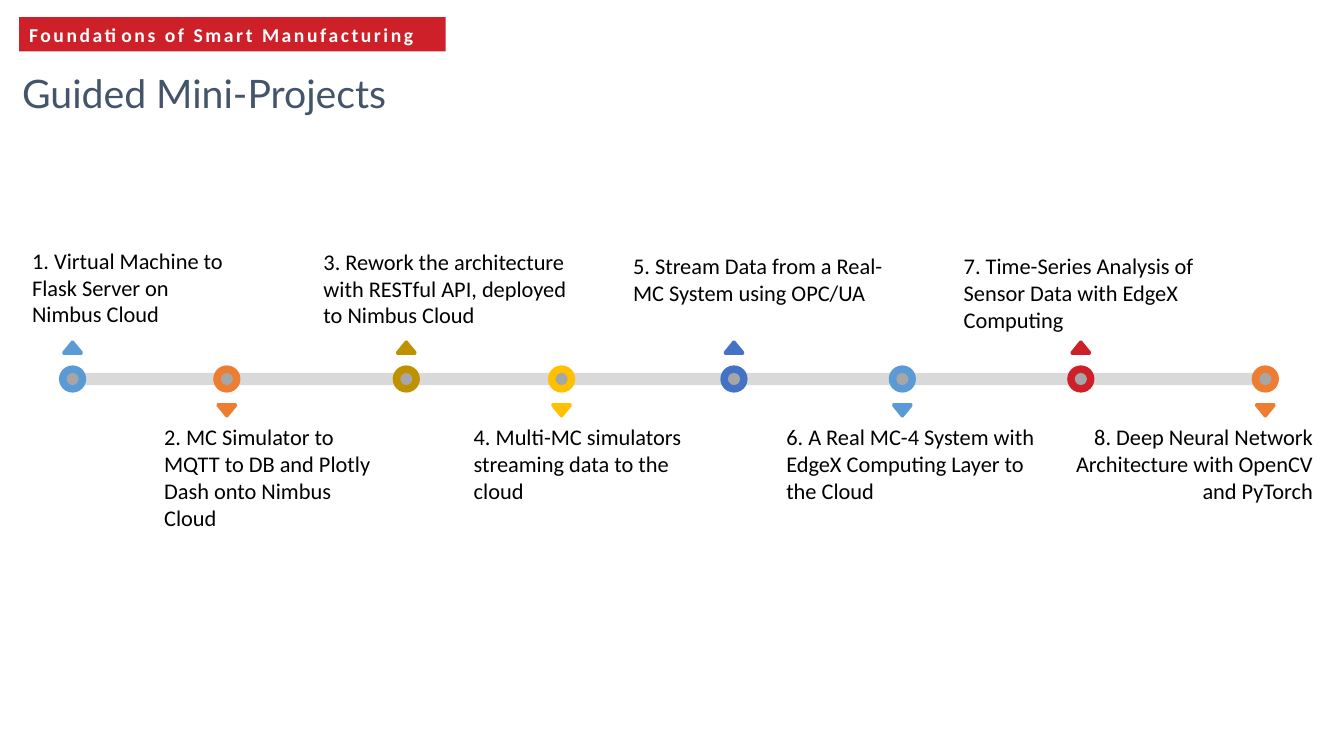
"""Build the Guided Mini-Projects timeline slide."""
from pptx import Presentation
from pptx.dml.color import RGBColor
from pptx.enum import shapes, text
from pptx.util import Inches, Pt

WHITE = RGBColor(0xFF, 0xFF, 0xFF)
BLACK = RGBColor(0x00, 0x00, 0x00)
SLATE = RGBColor(0x44, 0x54, 0x6A)
TRACK = RGBColor(0xD9, 0xD9, 0xD9)
GREY = RGBColor(0xA6, 0xA6, 0xA6)
RED = RGBColor(0xCE, 0x20, 0x29)
SKY = RGBColor(0x5B, 0x9B, 0xD5)
ORANGE = RGBColor(0xED, 0x7D, 0x31)
BRONZE = RGBColor(0xBF, 0x90, 0x00)
GOLD = RGBColor(0xFF, 0xC0, 0x00)
BLUE = RGBColor(0x44, 0x72, 0xC4)

LEFT, RIGHT = text.PP_ALIGN.LEFT, text.PP_ALIGN.RIGHT
AXIS = 3.76
RING, DOT = 0.27, 0.12

deck = Presentation()
deck.slide_width, deck.slide_height = Inches(13.33), Inches(7.5)
page = deck.slides.add_slide(deck.slide_layouts[5])


def paint(shape, color):
    shape.shadow.inherit = False
    shape.fill.solid()
    shape.fill.fore_color.rgb = color
    shape.line.fill.background()
    return shape


def write(box, words, align, **looks):
    frame = box.text_frame
    frame.word_wrap = True
    para = frame.paragraphs[0]
    para.alignment = align
    span = para.add_run()
    span.text = words
    span.font.color.rgb = looks.pop("color")
    for name, value in looks.items():
        setattr(span.font, name, value)
    return span


banner = paint(page.shapes.add_shape(
    shapes.MSO_SHAPE.RECTANGLE, Inches(0.19), Inches(0.17), Inches(4.23), Inches(0.34)), RED)
banner_span = write(banner, "Foundations of Smart Manufacturing", LEFT,
                    name="Calibri", size=Pt(14), bold=True, color=WHITE)
banner_span._r.get_or_add_rPr().set("spc", "180")

title = page.shapes.title
title.left, title.top = Inches(0.22), Inches(0.74)
title.width, title.height = Inches(7.4), Inches(0.49)
title_frame = title.text_frame
title_format = {"margin_left": 0, "margin_top": 0, "margin_right": 0, "margin_bottom": 0,
                "vertical_anchor": text.MSO_ANCHOR.TOP, "auto_size": text.MSO_AUTO_SIZE.NONE}
for name, value in title_format.items():
    setattr(title_frame, name, value)
write(title, "Guided Mini-Projects", LEFT, name="Lato", size=Pt(28), color=SLATE)
title_frame.paragraphs[0].line_spacing = 0.9

segments = [(0.6, 3.88)] + [(4.38 + 1.12 * step, 1.24) for step in range(4)] + [(8.87, 3.76)]
for left, width in segments:
    segment = paint(page.shapes.add_shape(
        shapes.MSO_SHAPE.ROUNDED_RECTANGLE,
        Inches(left), Inches(AXIS - 0.06), Inches(width), Inches(0.12)), TRACK)
    segment.adjustments[0] = 0.5

milestones = [
    (0.72, SKY, 0.22, 2.4, 2.14, 0.91, "1. Virtual Machine to Flask Server on Nimbus Cloud"),
    (2.25, ORANGE, 1.53, 4.15, 2.36, 0.91,
     "2. MC Simulator to MQTT to DB and Plotly Dash onto Nimbus Cloud"),
    (4.03, BRONZE, 3.11, 2.41, 2.71, 0.91,
     "3. Rework the architecture with RESTful API, deployed to Nimbus Cloud"),
    (5.57, GOLD, 4.6, 4.15, 2.44, 0.91, "4. Multi-MC simulators streaming data to the cloud"),
    (7.28, BLUE, 6.18, 2.45, 2.71, 0.64, "5. Stream Data from a Real-MC System using OPC/UA"),
    (8.95, SKY, 7.7, 4.15, 2.71, 0.91,
     "6. A Real MC-4 System with EdgeX Computing Layer to the Cloud"),
    (10.72, RED, 9.46, 2.45, 2.71, 0.91,
     "7. Time-Series Analysis of Sensor Data with EdgeX Computing"),
    (12.55, ORANGE, 10.41, 4.15, 2.71, 0.91,
     "8. Deep Neural Network Architecture with OpenCV and PyTorch"),
]
half_pointer = [(0.01, 0.38), (0.1, 0.27), (0.1, 0.25), (0.09, 0.24)]
pointer = half_pointer + [(-x, y) for x, y in reversed(half_pointer)]

for center, color, left, top, width, height, words in milestones:
    for size, tint in ((RING, color), (DOT, GREY)):
        paint(page.shapes.add_shape(
            shapes.MSO_SHAPE.OVAL, Inches(center - size / 2), Inches(AXIS - size / 2),
            Inches(size), Inches(size)), tint)

    side = -1 if top < AXIS else 1
    corners = [(Inches(center + x), Inches(AXIS + side * y)) for x, y in pointer]
    outline = page.shapes.build_freeform(*corners[0])
    outline.add_line_segments(corners[1:], close=True)
    paint(outline.convert_to_shape(), color)

    label = page.shapes.add_textbox(Inches(left), Inches(top), Inches(width), Inches(height))
    write(label, words, RIGHT if center == milestones[-1][0] else LEFT,
          name="Calibri", size=Pt(16), color=BLACK)

deck.save("out.pptx")
